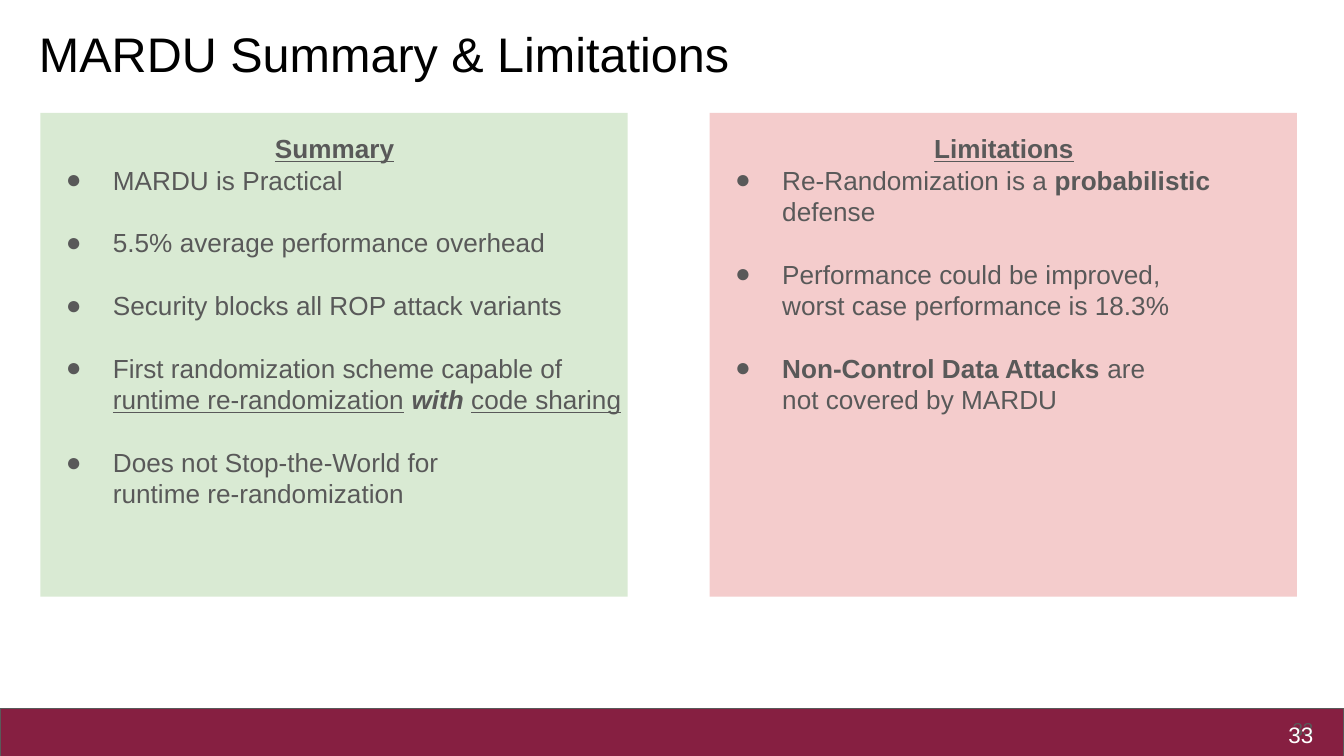
from dataclasses import dataclass

from lxml import etree
from pptx import Presentation
from pptx import util as u
from pptx.dml.color import RGBColor
from pptx.enum import shapes, text
from pptx.oxml.ns import qn


@dataclass(frozen=True)
class Theme:
    font: str = "Arial"
    ink: str = "595959"
    title_ink: str = "000000"
    white: str = "FFFFFF"
    bar: str = "861F41"
    summary: str = "D9EAD3"
    limitations: str = "F4CCCC"
    title_size: float = 26
    body_size: float = 14
    number_size: float = 12
    layout_number_size: float = 10
    line_spacing: float = 1.0
    heading_spacing: float = 1.5
    item_gap: float = 16.8


THEME = Theme()
WIDTH = 10
HEIGHT = WIDTH * 9 / 16
MARGIN, COLUMN_WIDTH, COLUMN_STEP = 0.3, 4.37, 4.98
COLUMN_TOP, COLUMN_HEIGHT = 0.84, 3.6
BAR_TOP, BAR_HEIGHT = 5.27, 0.37

# Each item is a list of lines; each line is a list of (text, style) runs,
# where the style letters are b, i and u.
SUMMARY = [
    [[("MARDU is Practical", "")]],
    [[("5.5% average performance overhead", "")]],
    [[("Security blocks all ROP attack variants", "")]],
    [[("First randomization scheme capable of ", ""),
      ("runtime re-randomization", "u"), (" ", ""),
      ("with ", "bi"), ("code sharing", "u")]],
    [[("Does not Stop-the-World for", "")],
     [("runtime re-randomization", "")]],
]
LIMITATIONS = [
    [[("Re-Randomization is a ", ""), ("probabilistic", "b"), (" defense", "")]],
    [[("Performance could be improved,", "")],
     [("worst case performance is 18.3%", "")]],
    [[("Non-Control Data Attacks ", "b"), ("are", "")],
     [("not covered by MARDU", "")]],
]


def place(shape, left, top, width, height):
    shape.left, shape.top = u.Inches(left), u.Inches(top)
    shape.width, shape.height = u.Inches(width), u.Inches(height)


def set_frame(frame, insets, anchor):
    frame.word_wrap = True
    frame.auto_size = text.MSO_AUTO_SIZE.NONE
    frame.vertical_anchor = anchor
    (frame.margin_left, frame.margin_top,
     frame.margin_right, frame.margin_bottom) = map(u.Inches, insets)


def style_run(run, size, color, style=""):
    font = run.font
    font.name, font.size = THEME.font, u.Pt(size)
    font.color.rgb = RGBColor.from_string(color)
    font.bold, font.italic, font.underline = (key in style for key in "biu")


def add_runs(paragraph, runs):
    for words, style in runs:
        run = paragraph.add_run()
        run.text = words
        style_run(run, THEME.body_size, THEME.ink, style)


def set_bullet(paragraph, symbol=None, left=0, hanging=0):
    """Set the bullet, or switch the inherited one off when symbol is None."""
    properties = paragraph._p.get_or_add_pPr()
    properties.set("marL", str(u.Inches(left)))
    properties.set("indent", str(-u.Inches(hanging)))
    if symbol:
        etree.SubElement(properties, qn("a:buChar")).set("char", symbol)
    else:
        etree.SubElement(properties, qn("a:buNone"))


def set_spacing(paragraph, lines, before=0):
    paragraph.line_spacing = lines
    paragraph.space_before, paragraph.space_after = u.Pt(before), u.Pt(0)


def fill_title(title, words):
    place(title, 0.19, 0.08, 9.59, 0.63)
    frame = title.text_frame
    set_frame(frame, [0.1] * 4, text.MSO_ANCHOR.TOP)
    frame.text = words
    paragraph = frame.paragraphs[0]
    paragraph.alignment = text.PP_ALIGN.LEFT
    style_run(paragraph.runs[0], THEME.title_size, THEME.title_ink)


def fill_column(body, column, color, heading, items):
    place(body, MARGIN + column * COLUMN_STEP, COLUMN_TOP,
          COLUMN_WIDTH, COLUMN_HEIGHT)
    body.fill.solid()
    body.fill.fore_color.rgb = RGBColor.from_string(color)
    frame = body.text_frame
    set_frame(frame, (0.04, 0.03, 0.03, 0.03), text.MSO_ANCHOR.TOP)

    paragraph = frame.paragraphs[0]
    paragraph.alignment = text.PP_ALIGN.CENTER
    set_spacing(paragraph, THEME.heading_spacing)
    set_bullet(paragraph)
    add_runs(paragraph, [(heading, "bu")])

    for item_index, lines in enumerate(items):
        for line_index, runs in enumerate(lines):
            first = line_index == 0
            paragraph = frame.add_paragraph()
            set_spacing(paragraph, THEME.line_spacing,
                        THEME.item_gap if first and item_index else 0)
            set_bullet(paragraph, "●" if first else None, 0.5,
                       0.35 if first else 0)
            add_runs(paragraph, runs)


def add_bar(slide):
    """Add the footer bar behind everything else."""
    bar = slide.shapes.add_shape(
        shapes.MSO_SHAPE.RECTANGLE, 0, u.Inches(BAR_TOP),
        u.Inches(WIDTH), u.Inches(BAR_HEIGHT))
    bar.shadow.inherit = False
    bar.fill.solid()
    bar.fill.fore_color.rgb = RGBColor.from_string(THEME.bar)
    bar.line.color.rgb = RGBColor.from_string(THEME.ink)
    bar.line.width = u.Pt(0.75)
    slide.shapes._spTree.insert(2, bar._element)


def add_number(slide, top, height, size, color):
    box = slide.shapes.add_textbox(
        u.Inches(9.27), u.Inches(top), u.Inches(0.6), u.Inches(height))
    frame = box.text_frame
    set_frame(frame, [0.1] * 4, text.MSO_ANCHOR.MIDDLE)
    frame.text = "33"
    paragraph = frame.paragraphs[0]
    paragraph.alignment = text.PP_ALIGN.RIGHT
    style_run(paragraph.runs[0], size, color)


def main():
    presentation = Presentation()
    presentation.slide_width = u.Inches(WIDTH)
    presentation.slide_height = u.Inches(HEIGHT)
    two_content = presentation.slide_layouts[3]
    slide = presentation.slides.add_slide(two_content)
    title, left_body, right_body = slide.placeholders

    fill_title(title, "MARDU Summary & Limitations")
    fill_column(left_body, 0, THEME.summary, "Summary", SUMMARY)
    fill_column(right_body, 1, THEME.limitations, "Limitations", LIMITATIONS)
    add_bar(slide)
    add_number(slide, 5.21, 0.43, THEME.layout_number_size, THEME.ink)
    add_number(slide, 5.28, 0.37, THEME.number_size, THEME.white)
    presentation.save("out.pptx")


if __name__ == "__main__":
    main()
